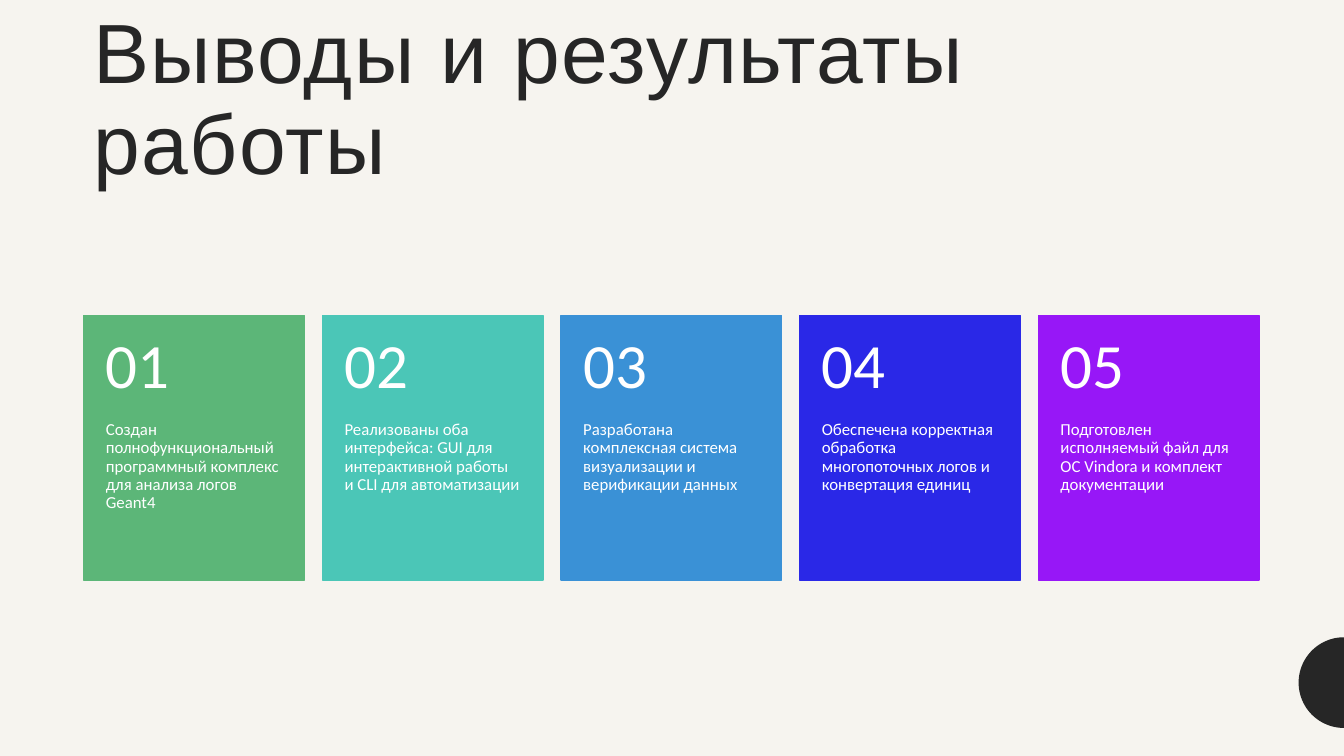
import math

import pptx
import pptx.dml.color
import pptx.enum.shapes
import pptx.enum.text
import pptx.util

ANCHOR = pptx.enum.text.MSO_ANCHOR
CARDS = [
    ("5CB678", "Создан полнофункциональный программный комплекс для анализа логов Geant4"),
    ("4BC6B7", "Реализованы оба интерфейса: GUI для интерактивной работы и CLI для автоматизации"),
    ("3A91D6", "Разработана комплексная система визуализации и верификации данных"),
    ("2A28E7", "Обеспечена корректная обработка многопоточных логов и конвертация единиц"),
    ("9717F7", "Подготовлен исполняемый файл для OC Vindora и комплект документации"),
]


def rgb(value):
    return pptx.dml.color.RGBColor.from_string(value)


def write(tf, text, size, color, font="Calibri", anchor=ANCHOR.TOP,
          insets=(0.1, 0.05, 0.1, 0.05), tracking=0):
    tf.word_wrap = True
    tf.vertical_anchor = anchor
    tf.margin_left, tf.margin_top, tf.margin_right, tf.margin_bottom = map(
        pptx.util.Inches, insets)
    p = tf.paragraphs[0]
    p.line_spacing = 0.9
    r = p.add_run()
    r.text = text
    r.font.size = pptx.util.Pt(size)
    r.font.name = font
    r.font.color.rgb = rgb(color)
    if tracking:
        r.font._element.set("spc", str(tracking * 100))


class Deck:
    """Slide style and a grid of five columns whose row 0 is the top of the cards."""

    width, height = 13.33, 7.5
    left, top = 0.83, 3.13
    column, gutter, row = 2.19, 0.177, 0.525
    paper, ink, white = "F6F4EF", "262626", "FFFFFF"

    def __init__(self):
        self.prs = pptx.Presentation()
        self.prs.slide_width = pptx.util.Inches(self.width)
        self.prs.slide_height = pptx.util.Inches(self.height)
        self.s = self.prs.slides.add_slide(self.prs.slide_layouts[6])
        fill = self.s.background.fill
        fill.solid()
        fill.fore_color.rgb = rgb(self.paper)

    def cell(self, col, row, cols, rows):
        return [pptx.util.Inches(v) for v in (
            self.left + col * (self.column + self.gutter),
            self.top + row * self.row,
            cols * self.column + (cols - 1) * self.gutter,
            rows * self.row)]

    def text(self, cell, text, **style):
        sp = self.s.shapes.add_textbox(*self.cell(*cell))
        write(sp.text_frame, text, **style)

    def box(self, cell, color):
        sp = self.s.shapes.add_shape(
            pptx.enum.shapes.MSO_SHAPE.RECTANGLE, *self.cell(*cell))
        sp.shadow.inherit = False
        sp.fill.solid()
        sp.fill.fore_color.rgb = rgb(color)
        sp.line.color.rgb = rgb(color)
        sp.line.width = pptx.util.Pt(1)

    def card(self, col, color, text):
        self.box((col, 0, 1, 5), color)
        self.text((col, 2, 1, 3), text, size=12, color=self.white,
                  insets=(0.22, 0, 0.22, 0.36))
        self.text((col, 0, 1, 2), f"{col + 1:02}", size=45, color=self.white,
                  anchor=ANCHOR.MIDDLE, insets=(0.22, 0.18, 0.22, 0.18))

    def edge_half_disc(self, center, radius, steps=48):
        points = []
        for i in range(steps + 1):
            angle = math.pi * i / steps
            x = self.width - radius * self.height * math.sin(angle)
            y = self.height * (center - radius * math.cos(angle))
            points.append((pptx.util.Inches(x), pptx.util.Inches(y)))
        builder = self.s.shapes.build_freeform(*points[0])
        builder.add_line_segments(points[1:], close=True)
        sp = builder.convert_to_shape()
        sp.shadow.inherit = False
        sp.fill.solid()
        sp.fill.fore_color.rgb = rgb(self.ink)
        sp.line.fill.background()


def main():
    deck = Deck()
    deck.text((0, -5.09, 5, 2.86), "Выводы и результаты работы", size=60,
              color=deck.ink, font="Arial", anchor=ANCHOR.BOTTOM, tracking=1)
    deck.edge_half_disc(center=0.903, radius=0.06)
    for col, (color, text) in enumerate(CARDS):
        deck.card(col, color, text)
    deck.prs.save("out.pptx")


if __name__ == "__main__":
    main()
